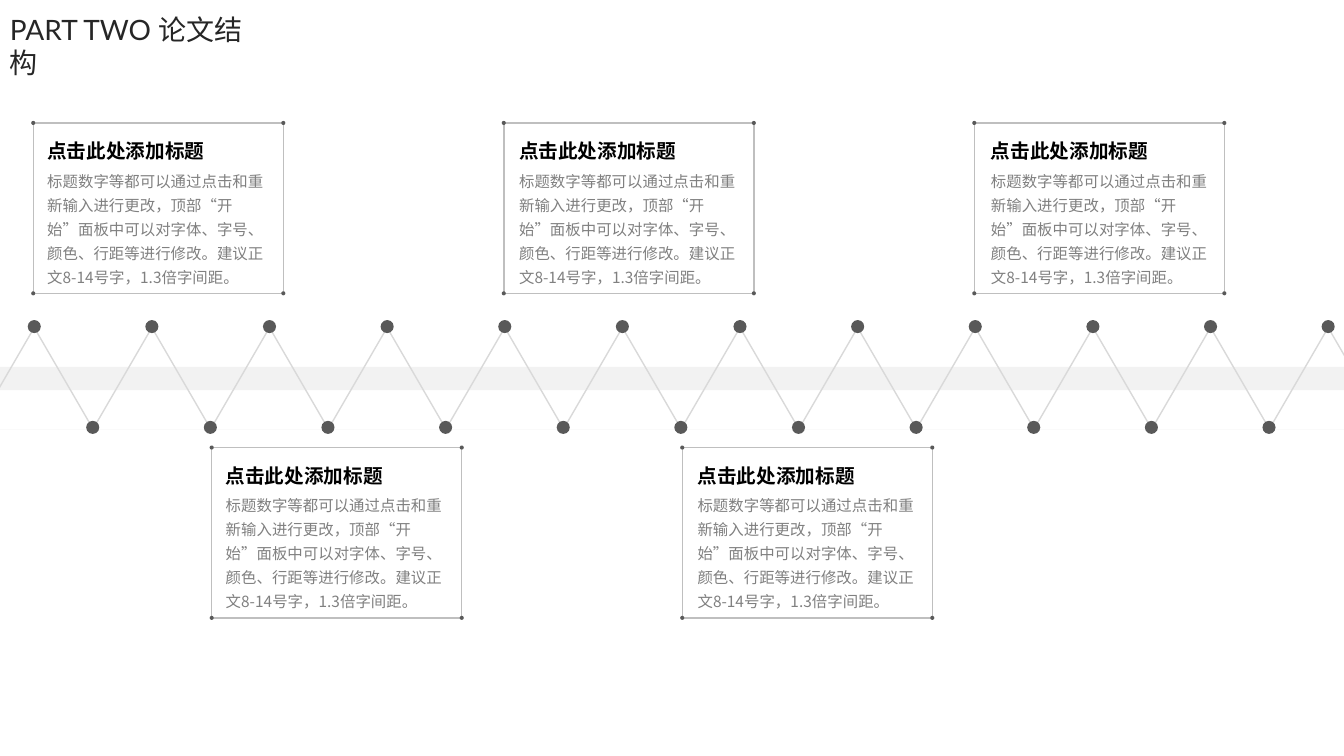
from dataclasses import dataclass

from lxml import etree
from pptx import Presentation
from pptx.dml.color import RGBColor
from pptx.enum.shapes import MSO_CONNECTOR, MSO_SHAPE
from pptx.enum.text import MSO_AUTO_SIZE
from pptx.oxml.ns import qn
from pptx.util import Inches, Pt

RECTANGLE = MSO_SHAPE.RECTANGLE
TRIANGLE = MSO_SHAPE.ISOSCELES_TRIANGLE
OVAL = MSO_SHAPE.OVAL
STRAIGHT = MSO_CONNECTOR.STRAIGHT
GROW = MSO_AUTO_SIZE.SHAPE_TO_FIT_TEXT


@dataclass(frozen=True)
class Theme:
    latin: str = "Lato"
    chinese: str = "Noto Sans CJK SC"
    title: str = "262626"
    heading: str = "000000"
    body: str = "808080"
    band: str = "F2F2F2"
    zigzag: str = "D9D9D9"
    frame: str = "BFBFBF"
    dot: str = "595959"
    paper: str = "FFFFFF"
    title_size: int = 20
    heading_size: int = 14
    body_size: int = 11


THEME = Theme()
TITLE = "PART TWO 论文结构"
HEADING = "点击此处添加标题"
BODY = (
    "标题数字等都可以通过点击和重新输入进行更改，顶部“开始”面板中可以对字体、"
    "字号、颜色、行距等进行修改。建议正文8-14号字，1.3倍字间距。"
)

# Zigzag and card grid, in inches
PITCH = 7 / 6
PEAK_COUNT = 12
CARD_WIDTH, CARD_HEIGHT = 2.48, 1.69
TEXT_PITCH = 4.68
# Frame left, text left, top and number of cards of each row
CARD_ROWS = [(0.33, 0.37, 1.22, 3), (2.1, 2.14, 4.44, 2)]


def add_figure(shapes, preset, left, top, width, height, fill=None, line=None):
    shape = shapes.add_shape(
        preset, Inches(left), Inches(top), Inches(width), Inches(height)
    )
    shape.shadow.inherit = False
    if fill:
        shape.fill.solid()
        shape.fill.fore_color.rgb = RGBColor.from_string(fill)
    else:
        shape.fill.background()
    if line:
        shape.line.color.rgb = RGBColor.from_string(line)
        shape.line.width = Pt(1)
    else:
        shape.line.fill.background()


def add_dot(shapes, center_x, center_y, size):
    add_figure(shapes, OVAL, center_x - size / 2, center_y - size / 2,
               size, size, fill=THEME.dot)


def add_text(page, text, left, top, width, height, color, formats,
             wrap=True, spacing=None):
    box = page.shapes.add_textbox(
        Inches(left), Inches(top), Inches(width), Inches(height)
    )
    box.text_frame.word_wrap = wrap
    box.text_frame.auto_size = GROW
    para = box.text_frame.paragraphs[0]
    if spacing:
        para.line_spacing = spacing
    span = para.add_run()
    span.text = text
    for name, value in formats.items():
        setattr(span.font, name, value)
    span.font.color.rgb = RGBColor.from_string(color)
    east_asian = etree.SubElement(span.font._element, qn("a:ea"))
    east_asian.set("typeface", THEME.chinese)


def add_zigzag(page):
    band = page.shapes.add_group_shape().shapes
    add_figure(band, RECTANGLE, 0, 3.64, 13.33, 0.23, fill=THEME.band)
    for peak in range(PEAK_COUNT):
        add_figure(band, TRIANGLE, -0.24 + peak * PITCH, 3.25, 1.16, 1,
                   line=THEME.zigzag)
    # White line that hides the triangle bases
    mask = band.add_connector(
        STRAIGHT, Inches(-0.23), Inches(4.24), Inches(13.74), Inches(4.24)
    )
    mask.line.color.rgb = RGBColor.from_string(THEME.paper)
    mask.line.width = Pt(3)
    etree.SubElement(mask._element.spPr, qn("a:effectLst"))

    # Upper dots on every peak, lower dots in every valley between
    for first_x, y, count in [(0.34, 3.24, PEAK_COUNT),
                              (0.92, 4.24, PEAK_COUNT - 1)]:
        for step in range(count):
            add_dot(page.shapes, first_x + step * PITCH, y, 0.13)


def add_frame(page, left, top):
    frame = page.shapes.add_group_shape().shapes
    add_figure(frame, RECTANGLE, left, top, CARD_WIDTH, CARD_HEIGHT,
               line=THEME.frame)
    for x in (left, left + CARD_WIDTH):
        for y in (top, top + CARD_HEIGHT):
            add_dot(frame, x, y, 0.04)


def add_card_text(page, left, top):
    add_text(page, HEADING, left, top + 0.11, 1.77, 0.34, THEME.heading,
             {"name": THEME.latin, "size": Pt(THEME.heading_size), "bold": True},
             wrap=False)
    add_text(page, BODY, left, top + 0.38, 2.39, 1.3, THEME.body,
             {"name": THEME.chinese, "size": Pt(THEME.body_size)}, spacing=1.3)


def main():
    deck = Presentation()
    deck.slide_width, deck.slide_height = Inches(13.33), Inches(7.5)
    page = deck.slides.add_slide(deck.slide_layouts[6])

    # Title
    add_text(page, TITLE, 0, 0.07, 2.73, 0.44, THEME.title,
             {"name": THEME.latin, "size": Pt(THEME.title_size)})

    # Timeline
    add_zigzag(page)

    # Cards above and below the timeline
    for frame_left, text_left, top, count in CARD_ROWS:
        for column in range(count):
            add_frame(page, frame_left + column * 4 * PITCH, top)
            add_card_text(page, text_left + column * TEXT_PITCH, top)

    deck.save("out.pptx")


if __name__ == "__main__":
    main()
